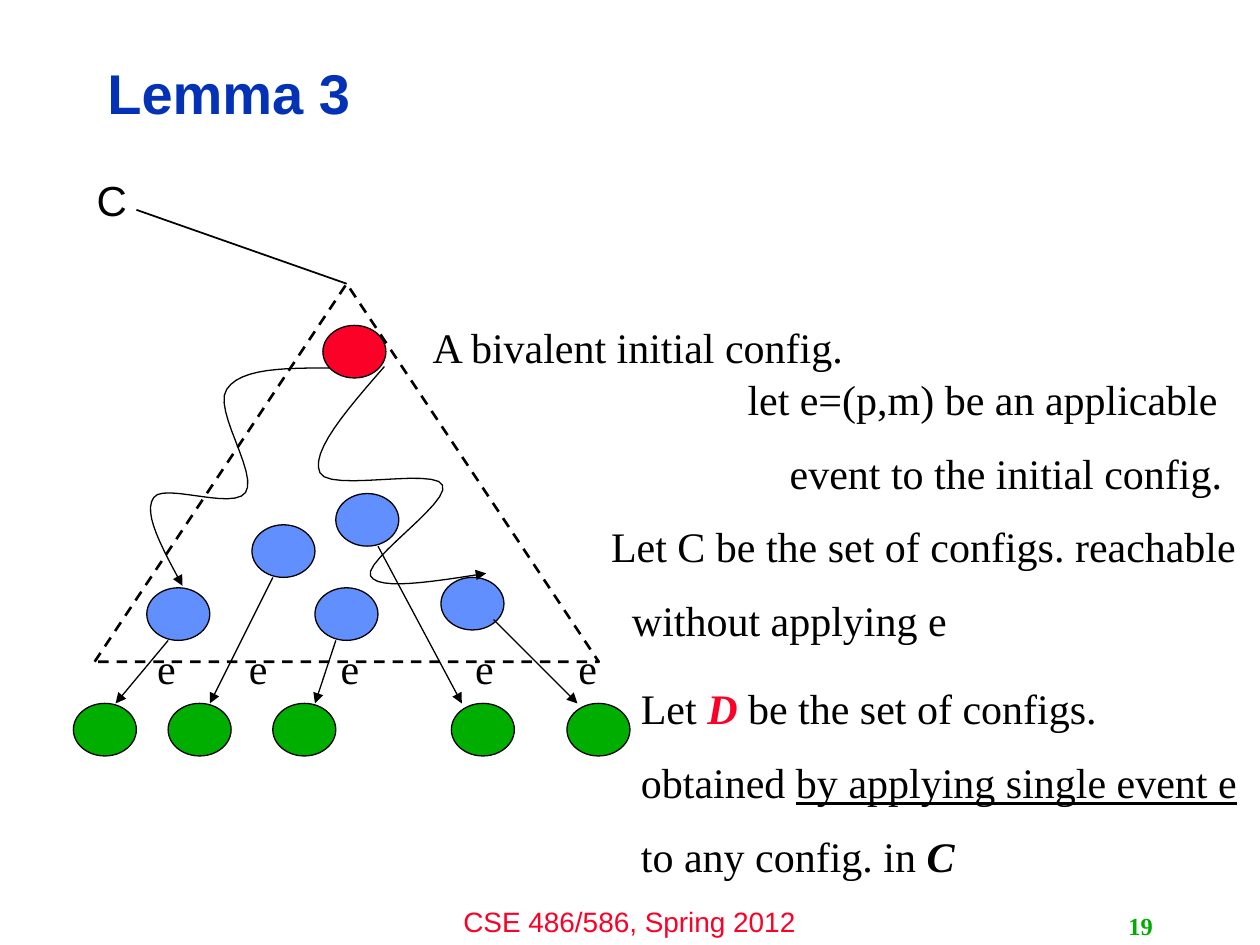
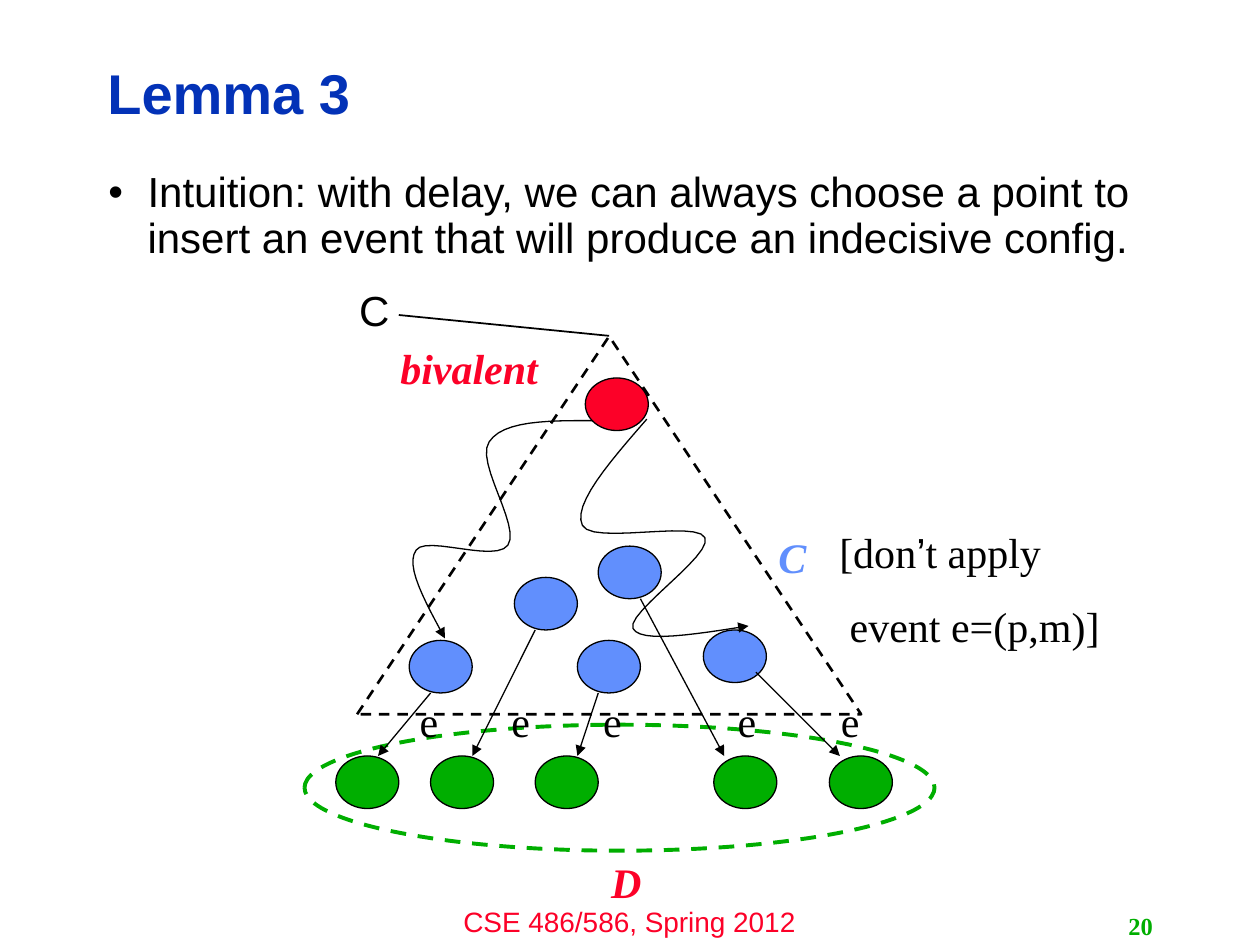
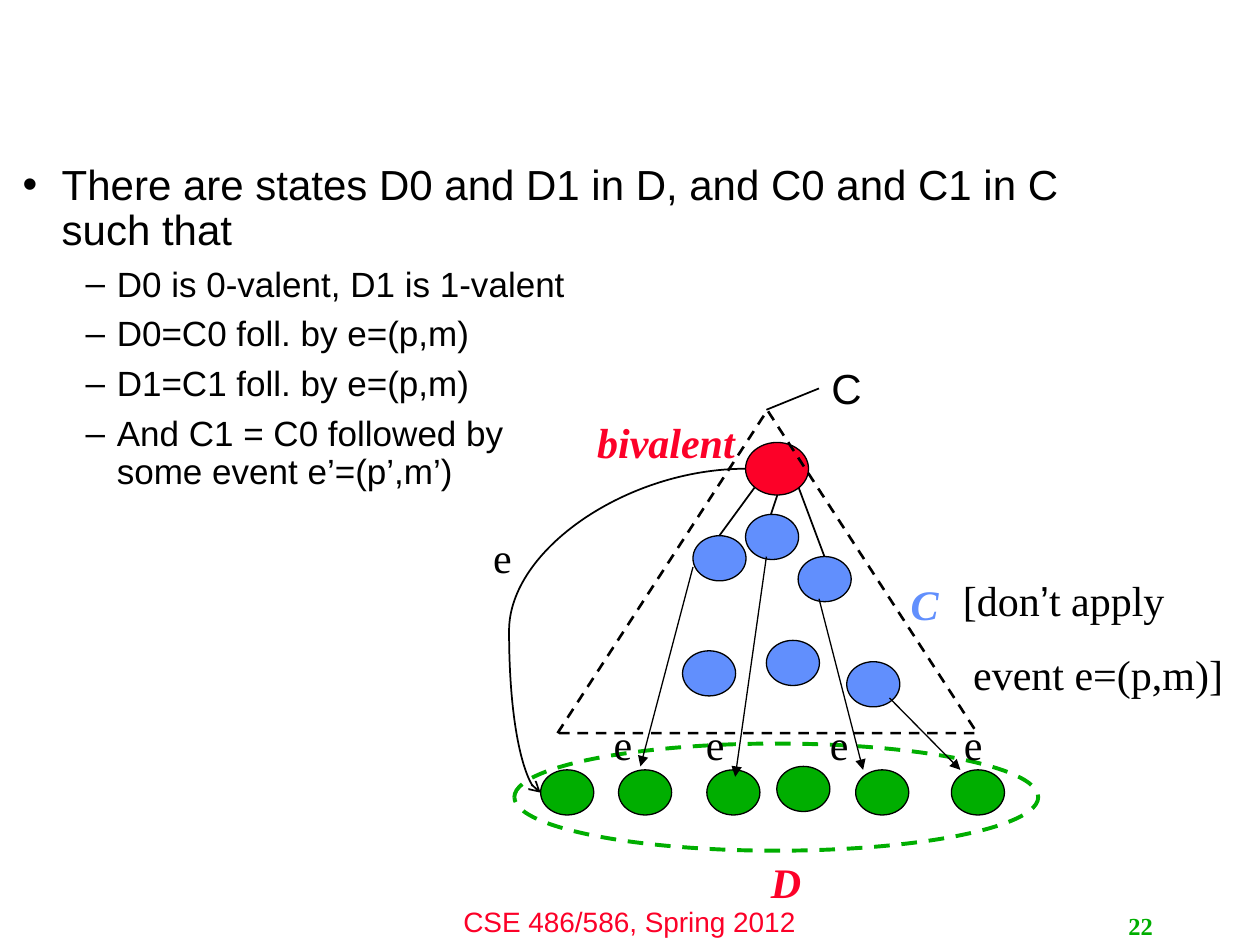
import pptx
import pptx.util
import pptx.dml.color
import pptx.enum.dml
import pptx.enum.shapes
import pptx.enum.text
import pptx.oxml.ns
import lxml.etree

Cm = pptx.util.Cm
Pt = pptx.util.Pt
qn = pptx.oxml.ns.qn
Shapes = pptx.enum.shapes.MSO_SHAPE
Connectors = pptx.enum.shapes.MSO_CONNECTOR
Align = pptx.enum.text.PP_ALIGN

BLACK, RED, BLUE, GREEN, NAVY = "000000", "FC0128", "618FFD", "00AE00", "0332B7"
SERIF, SANS = "Times New Roman", "Arial"


def colour(target, value):
    target.rgb = pptx.dml.color.RGBColor.from_string(value)


def apply_format(target, values):
    for name, value in values.items():
        if name == "color":
            colour(target.color, value)
        else:
            setattr(target, name, value)


serif = {"name": SERIF, "size": Pt(24), "color": BLACK}
emphasis = serif | {"bold": True, "italic": True}
styles = {
    "plain": serif,
    "sans": serif | {"name": SANS},
    "underlined": serif | {"underline": True},
    "emphasis": emphasis,
    "red": emphasis | {"color": RED},
    "blue": emphasis | {"color": BLUE},
    "footer": {"name": SANS, "size": Pt(16), "color": RED},
    "number": {"name": SERIF, "size": Pt(14), "color": GREEN, "bold": True},
    "title": {"name": SANS, "size": Pt(32), "color": NAVY, "bold": True},
}
body_levels = [
    {"size": 24, "margin": 0.79, "hanging": -0.79, "before": 0},
    {"size": 20, "margin": 1.9, "hanging": -0.63, "before": 6.9},
]

node = (1.27, 1.06)
small_node = (1.07, 0.91)
tree = {
    "triangle": (1.91, 5.72, 10.16, 7.62),
    "nodes": [(6.51, 6.56, node, RED)]
    + [(x, y, node, BLUE) for x, y in
       [(8.89, 11.64), (2.96, 11.85), (5.08, 10.58), (6.35, 11.85), (6.77, 9.95)]]
    + [(x, 14.18, node, GREEN) for x in [1.48, 3.39, 5.5, 9.1, 11.43]],
    "arrows": [
        (3.39, 12.91, 2.33, 14.18),
        (5.5, 11.64, 4.23, 14.18),
        (7.62, 11.01, 9.31, 14.18),
        (9.95, 12.49, 11.64, 14.18),
        (6.77, 12.91, 6.35, 14.18),
    ],
    "curves": [
        [(6.65, 7.42), (5.74, 7.42), (4.85, 7.42), (4.57, 7.85), (4.29, 8.26),
         (5.21, 9.55), (4.95, 9.93), (4.7, 10.29), (3.3, 9.73), (3.1, 10.03),
         (2.87, 10.34), (3.28, 11.07), (3.68, 11.81)],
        [(7.75, 7.39), (6.99, 8.26), (6.25, 9.12), (6.45, 9.53), (6.63, 9.93),
         (8.76, 9.42), (8.92, 9.78), (9.09, 10.13), (7.32, 11.3), (7.47, 11.61),
         (7.62, 11.91), (8.71, 11.73), (9.8, 11.56)],
    ],
    "events": [(x, 12.83) for x in [2.92, 4.77, 6.62, 9.33, 11.41]],
}
small_tree = {
    "triangle": (11.24, 8.27, 8.46, 6.51),
    "nodes": [(15.03, 8.92, node, RED)]
    + [(x, y, small_node, BLUE) for x, y in
       [(17.07, 13.34), (13.97, 10.8), (15.03, 10.37), (16.09, 11.22),
        (15.45, 12.91), (13.76, 13.12)]]
    + [(x, 15.52, small_node, GREEN) for x in [10.9, 12.47, 14.25, 17.25, 19.18]]
    + [(15.66, 15.45, small_node, GREEN)],
    "arrows": [
        (13.97, 11.43, 12.91, 15.45),
        (15.45, 11.22, 14.82, 15.66),
        (16.51, 12.07, 17.4, 15.52),
        (17.93, 14.07, 19.36, 15.52),
    ],
    "curves": [],
    "events": [(x, 14.35) for x in [12.12, 13.98, 16.48, 19.18]] + [(9.69, 10.58)],
}

bivalent = [(0, [("bivalent", "red")])]
set_c = [(0, [("C", "blue")])]
set_d = [(0, [("D", "red")])]
start = [(0, [("C", "sans")])]
event_note = [
    (0.21, [("[don", "plain"), ("’", "sans"), ("t apply", "plain")]),
    (0.42, [("event e=(p,m)]", "plain")]),
]

slides = [
    {
        "number": "19", "title": "Lemma 3", "body": [], "body_box": None,
        "tree": tree, "offset": (0, 0), "set_outline": None, "loop": None,
        "links": [(2.75, 4.23, 6.99, 5.72)],
        "texts": [
            (8.47, 6.35, 8.9, 1.27, [(0, [("A bivalent initial config.", "plain")])]),
            (14.82, 7.41, 10.25, 2.29, [
                (0, [("let e=(p,m) be an applicable", "plain")]),
                (0.85, [("event to the initial config.", "plain")])]),
            (12.07, 10.37, 13.32, 2.29, [
                (0, [("Let C be the set of configs. reachable", "plain")]),
                (0.42, [("without applying e", "plain")])]),
            (12.67, 13.64, 12.73, 3.3, [
                (0, [("Let ", "plain"), ("D", "red"), (" be the set of configs.", "plain")]),
                (0, [("obtained ", "plain"), ("by applying single event e", "underlined")]),
                (0, [("to any config. in ", "plain"), ("C", "emphasis")])]),
            (1.7, 3.39, 1.15, 1.17, start),
        ],
    },
    {
        "number": "20", "title": "Lemma 3",
        "body": [(0, "Intuition: with delay, we can always choose a point to insert "
                     "an event that will produce an indecisive config.")],
        "body_box": (1.93, 3.33, 21.34, 13.69),
        "tree": tree, "offset": (5.29, 1.06),
        "set_outline": (6.14, 14.61, 12.7, 2.54), "loop": None,
        "links": [(8.04, 6.35, 12.28, 6.77)],
        "texts": [
            (16.46, 10.49, 6.1, 2.82, event_note),
            (12.07, 17.15, 1.15, 1.27, set_d),
            (15.44, 10.59, 1.15, 1.27, set_c),
            (7.82, 6.78, 3.4, 1.27, bivalent),
            (6.99, 5.61, 1.15, 1.17, start),
        ],
    },
    {
        "number": "22", "title": None,
        "body": [
            (0, "There are states D0 and D1 in D, and C0 and C1 in C such that"),
            (1, "D0 is 0-valent, D1 is 1-valent"),
            (1, "D0=C0 foll. by e=(p,m)"),
            (1, "D1=C1 foll. by e=(p,m)"),
            (1, "And C1 = C0 followed by\vsome event e’=(p’,m’)"),
        ],
        "body_box": (0.2, 3.18, 22.86, 12.85),
        "tree": small_tree, "offset": (0, 0),
        "set_outline": (10.37, 14.99, 10.56, 2.16),
        "loop": (15.03, 9.45, 10.9, 15.98),
        "links": [
            (16.51, 7.83, 15.45, 8.26),
            (15.21, 9.83, 14.5, 10.8),
            (15.67, 9.98, 15.54, 10.37),
            (16.1, 9.83, 16.62, 11.22),
        ],
        "texts": [
            (15.29, 17.15, 1.15, 1.27, set_d),
            (18.11, 11.53, 1.15, 1.27, set_c),
            (11.79, 8.28, 3.4, 1.27, bivalent),
            (18.95, 11.46, 6.1, 2.82, event_note),
            (16.51, 7.19, 1.15, 1.17, start),
        ],
    },
]

presentation = pptx.Presentation()
presentation.slide_width = Cm(25.4)
presentation.slide_height = Cm(19.05)

for content in slides:
    layout = presentation.slide_layouts[1 if content["body"] else 5]
    slide = presentation.slides.add_slide(layout)
    shift_x, shift_y = content["offset"]
    diagram = content["tree"]

    title = slide.shapes.title
    if content["title"]:
        apply_format(title, {"left": Cm(1.91), "top": Cm(0.91),
                             "width": Cm(20.27), "height": Cm(2.06)})
        title.text_frame.text = content["title"]
        apply_format(title.text_frame, {
            "vertical_anchor": pptx.enum.text.MSO_ANCHOR.MIDDLE,
            "auto_size": pptx.enum.text.MSO_AUTO_SIZE.NONE})
        paragraph = title.text_frame.paragraphs[0]
        apply_format(paragraph, {"alignment": Align.LEFT, "line_spacing": 0.9})
        apply_format(paragraph.runs[0].font, styles["title"])
    else:
        title._element.getparent().remove(title._element)

    if content["body"]:
        body = slide.placeholders[1]
        left, top, width, height = map(Cm, content["body_box"])
        apply_format(body, {"left": left, "top": top, "width": width, "height": height})
        body.text_frame.auto_size = pptx.enum.text.MSO_AUTO_SIZE.NONE
        for index, (level, text) in enumerate(content["body"]):
            paragraph = body.text_frame.paragraphs[0] if index == 0 else body.text_frame.add_paragraph()
            paragraph.text = text
            rule = body_levels[level]
            apply_format(paragraph, {"level": level, "line_spacing": 0.9,
                                     "space_before": Pt(rule["before"])})
            properties = paragraph._p.get_or_add_pPr()
            properties.set("marL", str(Cm(rule["margin"])))
            properties.set("indent", str(Cm(rule["hanging"])))
            for run in paragraph.runs:
                apply_format(run.font, {"name": SANS, "size": Pt(rule["size"]), "color": BLACK})

    outlines = []
    for x, y, size, fill in diagram["nodes"]:
        outlines.append((Shapes.OVAL, (x + shift_x, y + shift_y, *size), fill, BLACK, 0.75))
    x, y, width, height = diagram["triangle"]
    outlines.append((Shapes.ISOSCELES_TRIANGLE, (x + shift_x, y + shift_y, width, height),
                     None, BLACK, 1.5))
    if content["set_outline"]:
        outlines.append((Shapes.OVAL, content["set_outline"], None, GREEN, 2.25))
    for kind, box, fill, line, weight in outlines:
        shape = slide.shapes.add_shape(kind, *map(Cm, box))
        shape.shadow.inherit = False
        colour(shape.line.color, line)
        shape.line.width = Pt(weight)
        if fill:
            shape.fill.solid()
            colour(shape.fill.fore_color, fill)
        else:
            shape.fill.background()
            shape.line.dash_style = pptx.enum.dml.MSO_LINE.DASH

    strokes = []
    for points in diagram["curves"]:
        points = [(x + shift_x, y + shift_y) for x, y in points]
        samples = []
        for first in range(0, len(points) - 1, 3):
            a, b, c, d = points[first:first + 4]
            for step in range(1, 13):
                t = step / 12
                weights = ((1 - t) ** 3, 3 * t * (1 - t) ** 2, 3 * t * t * (1 - t), t ** 3)
                samples.append(tuple(
                    Cm(sum(w * p[axis] for w, p in zip(weights, (a, b, c, d))))
                    for axis in (0, 1)))
        builder = slide.shapes.build_freeform(Cm(points[0][0]), Cm(points[0][1]))
        builder.add_line_segments(samples, close=False)
        path_shape = builder.convert_to_shape()
        path_shape.fill.background()
        strokes.append((path_shape, 0.75, "triangle"))
    for x1, y1, x2, y2 in diagram["arrows"]:
        ends = (x1 + shift_x, y1 + shift_y, x2 + shift_x, y2 + shift_y)
        arrow = slide.shapes.add_connector(Connectors.STRAIGHT, *map(Cm, ends))
        strokes.append((arrow, 0.75, "triangle"))
    for ends in content["links"]:
        link = slide.shapes.add_connector(Connectors.STRAIGHT, *map(Cm, ends))
        strokes.append((link, 1, None))
    if content["loop"]:
        loop = slide.shapes.add_connector(Connectors.CURVE, *map(Cm, content["loop"]))
        geometry = loop._element.spPr.find(qn("a:prstGeom"))
        adjustments = geometry.find(qn("a:avLst"))
        if adjustments is None:
            adjustments = lxml.etree.SubElement(geometry, qn("a:avLst"))
        lxml.etree.SubElement(adjustments, qn("a:gd"), name="adj1", fmla="val 115400")
        strokes.append((loop, 1, "arrow"))
    for stroke, weight, head in strokes:
        colour(stroke.line.color, BLACK)
        stroke.line.width = Pt(weight)
        properties = stroke._element.spPr
        if head:
            lxml.etree.SubElement(properties.find(qn("a:ln")), qn("a:tailEnd"), type=head)
        lxml.etree.SubElement(properties, qn("a:effectLst"))

    texts = [(*entry, Align.LEFT) for entry in content["texts"]]
    for x, y in diagram["events"]:
        texts.append((x + shift_x, y + shift_y, 0.95, 1.27, [(0, [("e", "plain")])], Align.LEFT))
    texts.append((8.46, 18.11, 8.46, 0.94,
                  [(0, [("CSE 486/586, Spring 2012", "footer")])], Align.CENTER))
    texts.append((18.21, 18.24, 5.28, 0.81,
                  [(0, [(content["number"], "number")])], Align.RIGHT))
    for x, y, width, height, paragraphs, alignment in texts:
        text_box = slide.shapes.add_textbox(Cm(x), Cm(y), Cm(width), Cm(height))
        frame = text_box.text_frame
        frame.word_wrap = True
        for index, (indent, runs) in enumerate(paragraphs):
            paragraph = frame.paragraphs[0] if index == 0 else frame.add_paragraph()
            paragraph.alignment = alignment
            if index:
                paragraph.space_before = Pt(13.5)
            if indent:
                paragraph._p.get_or_add_pPr().set("marL", str(Cm(indent)))
            for text, style in runs:
                run = paragraph.add_run()
                run.text = text
                apply_format(run.font, styles[style])

presentation.save("out.pptx")
